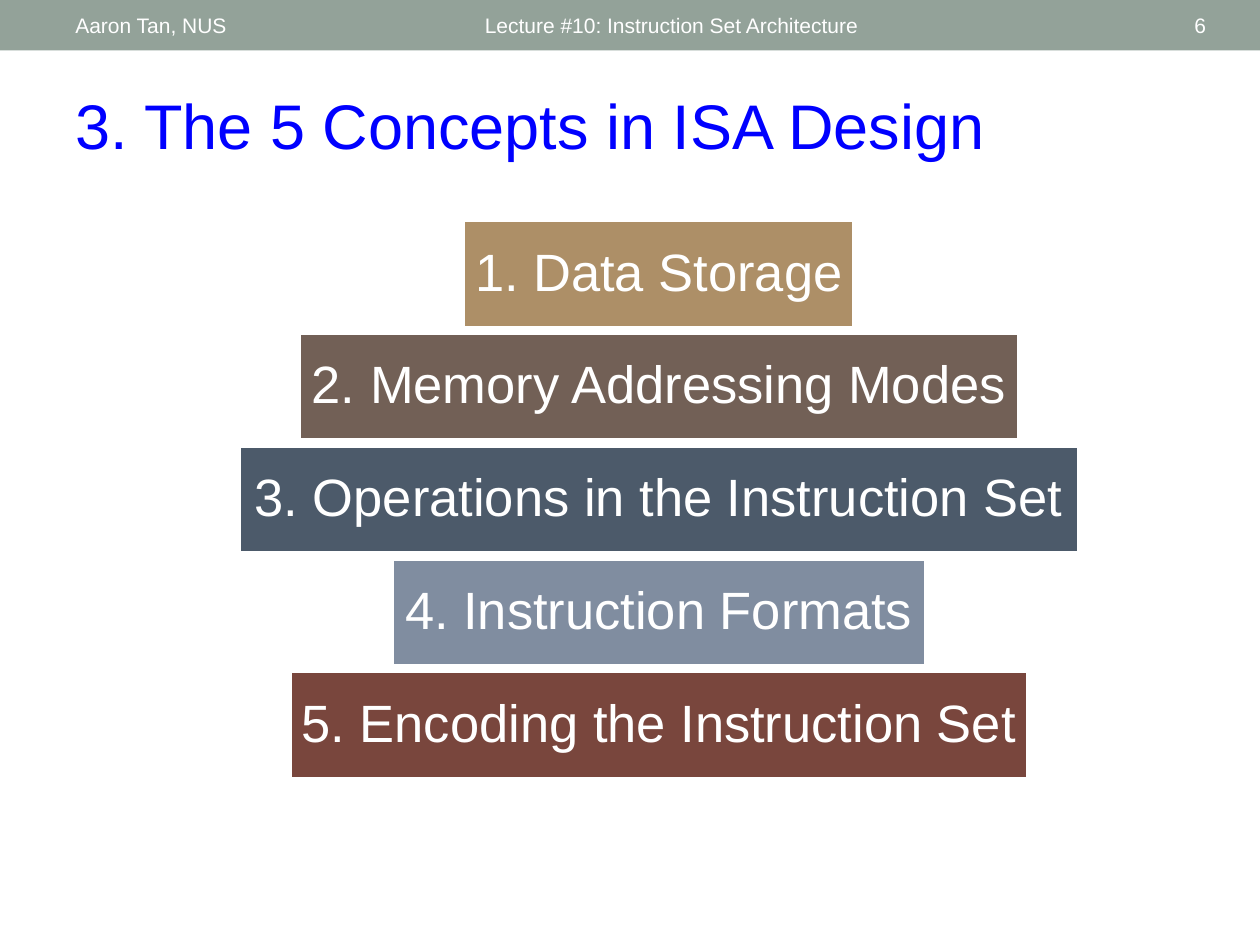
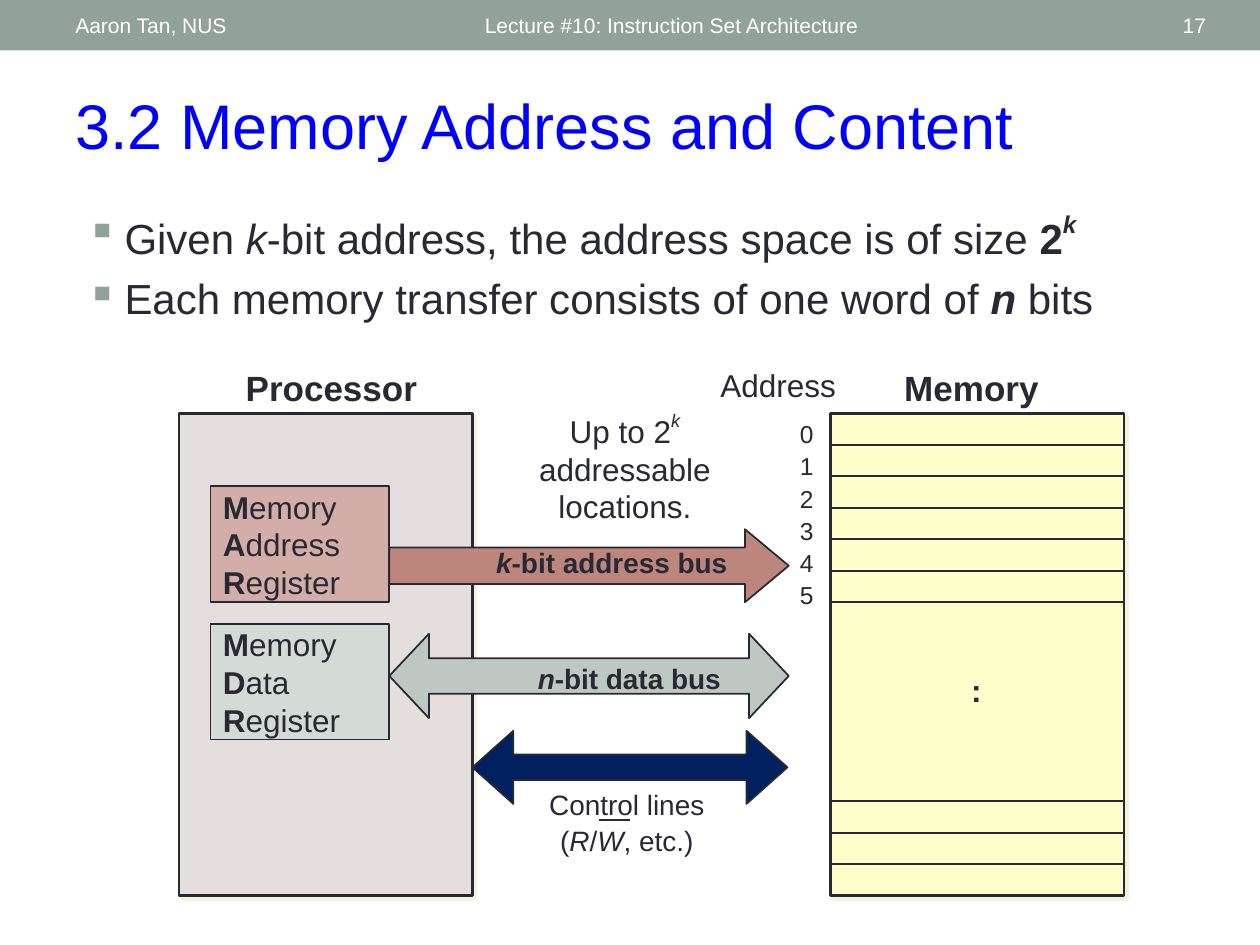
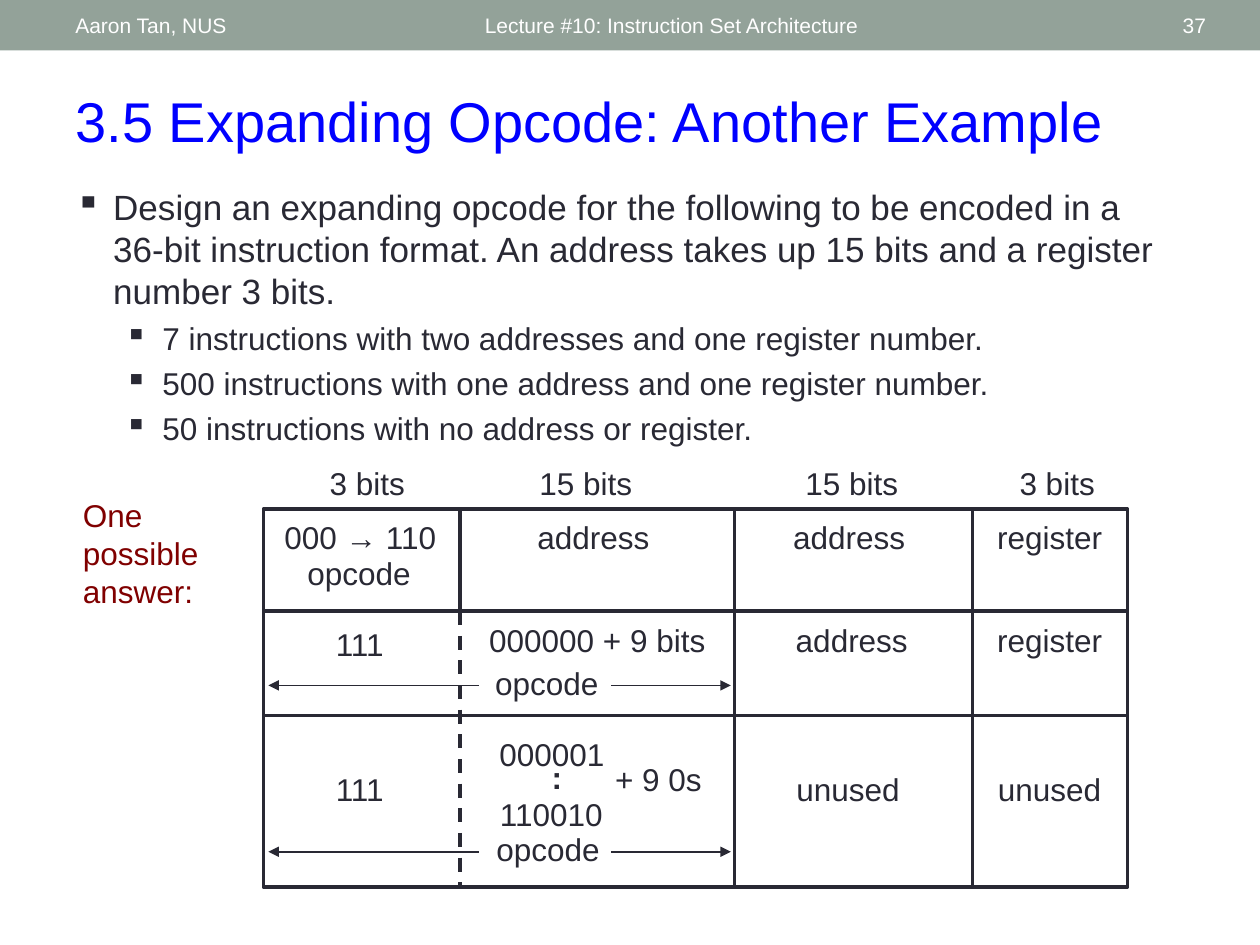
from lxml import etree
from pptx import Presentation
from pptx.dml.color import RGBColor
from pptx.enum import dml, shapes, text
from pptx.oxml import ns
from pptx.util import Inches, Pt

FONT = "Arial"
INK, WHITE, SAGE, BLUE, MAROON = "292934", "FFFFFF", "93A299", "0000FF", "800000"
LEFT, CENTER, RIGHT = text.PP_ALIGN.LEFT, text.PP_ALIGN.CENTER, text.PP_ALIGN.RIGHT
TOP, MIDDLE = text.MSO_ANCHOR.TOP, text.MSO_ANCHOR.MIDDLE
SHAPE = shapes.MSO_SHAPE

AUTHOR = "Aaron Tan, NUS"
LECTURE = "Lecture #10: Instruction Set Architecture"

# Runs are (text, style): b bold, i italic, ^ superscript.
CONCEPTS = [
    ("1. Data Storage", 3.1, "AD8F67"),
    ("2. Memory Addressing Modes", 5.71, "726056"),
    ("3. Operations in the Instruction Set", 6.67, "4C5A6A"),
    ("4. Instruction Formats", 4.23, "808DA0"),
    ("5. Encoding the Instruction Set", 5.85, "79463D"),
]

MEMORY_POINTS = [
    ([("Given ", ""), ("k", "i"), ("-bit address, the address space is of size ", ""),
      ("2", "b"), ("k", "bi^")], 24, 0),
    ([("Each memory transfer consists of one word of ", ""), ("n", "bi"), (" bits", "")], 24, 0),
]
REGISTERS = [
    (3.86, "D3AEA8", [("M", "b"), ("emory ", ""), ("A", "b"), ("ddress", ""),
                      (" R", "b"), ("egister", "")]),
    (4.95, "D4DAD6", [("M", "b"), ("emory ", ""), ("D", "b"), ("ata", ""),
                      (" R", "b"), ("egister", "")]),
]
BUSES = [
    (SHAPE.RIGHT_ARROW, (3.09, 4.2, 3.17, 0.58), "BD867C", (0.5, 0.6)),
    (SHAPE.LEFT_RIGHT_ARROW, (3.75, 5.8, 2.5, 0.58), "002060", (0.35, 0.56)),
    (SHAPE.LEFT_RIGHT_ARROW, (3.09, 5.03, 3.17, 0.67), "BEC7C2", (0.42, 0.47)),
]
DIAGRAM_LABELS = [
    ((5.59, 2.86, 1.17, 0.4), [[("Address", "")]], 18, CENTER),
    ((6.25, 3.28, 0.33, 1.56), [[(str(n), "")] for n in range(6)], 14, LEFT),
    ((1.84, 2.86, 1.58, 0.43), [[("Processor", "b")]], 20, CENTER),
    ((6.92, 2.86, 1.58, 0.43), [[("Memory", "b")]], 20, CENTER),
    ((7.5, 5.28, 0.5, 0.4), [[(":", "b")]], 18, CENTER),
    ((4.17, 5.2, 1.67, 0.37), [[("n", "bi"), ("-bit data bus", "b")]], 16, LEFT),
    ((3.84, 4.28, 2.17, 0.37), [[("k", "bi"), ("-bit address bus", "b")]], 16, LEFT),
    ((3.92, 3.2, 2.08, 1), [[("Up to 2", ""), ("k", "i^"),
                             (" addressable locations.", "")]], 18, CENTER),
    ((4.25, 6.2, 1.45, 0.65), [[("Control lines", "")],
                               [("(", ""), ("R", "i"), ("/", ""), ("W", "i"),
                                (", etc.)", "")]], 16, CENTER),
]

OPCODE_POINTS = [
    ([("Design an expanding opcode for the following to be encoded in a 36-bit instruction "
       "format. An address takes up 15 bits and a register number 3 bits.", "")], 20, 0),
    ([("7 instructions with two addresses and one register number.", "")], 18, 1),
    ([("500 instructions with one address and one register number.", "")], 18, 1),
    ([("50 instructions with no address or register.", "")], 18, 1),
]
# Each line of the format diagram: top, then (left, width, text).
FORMAT_TEXT = [
    (3.67, [(2.45, 0.93, "3 bits"), (4.11, 1.08, "15 bits"),
            (6.22, 1.08, "15 bits"), (7.85, 1.08, "3 bits")]),
    (4.1, [(2.19, 1.34, "000 → 110"), (4.04, 1.34, "address"),
           (6.07, 1.34, "address"), (7.82, 1.02, "register")]),
    (4.39, [(2.18, 1.34, "opcode")]),
    (4.92, [(3.78, 1.92, "000000 + 9 bits"), (6.22, 1.08, "address"), (7.87, 0.92, "register")]),
    (4.95, [(2.47, 0.77, "111")]),
    (5.26, [(3.84, 1, "opcode")]),
    (5.82, [(3.77, 1.22, "000001")]),
    (6.01, [(4.24, 0.36, ":")]),
    (6.02, [(4.8, 0.85, "+ 9 0s")]),
    (6.1, [(2.47, 0.77, "111"), (6.21, 1.04, "unused"), (7.78, 1.1, "unused")]),
    (6.3, [(3.77, 1.21, "110010")]),
    (6.58, [(3.85, 1, "opcode")]),
]


def rgb(color):
    return RGBColor.from_string(color)


def add_xml(parent, tag, **attributes):
    return etree.SubElement(parent, ns.qn(tag), attributes)


def fill_paragraph(paragraph, runs, size, color, align=LEFT):
    paragraph.alignment = align
    for words, style in runs:
        run = paragraph.add_run()
        run.text = words
        font = run.font
        font.name, font.size = FONT, Pt(size)
        font.bold, font.italic = "b" in style, "i" in style
        font.color.rgb = rgb(color)
        if "^" in style:
            run._r.get_or_add_rPr().set("baseline", "50000")


def paragraphs_of(frame, count):
    return [frame.paragraphs[0]] + [frame.add_paragraph() for _ in range(count - 1)]


def set_frame(frame, anchor, inset=None):
    frame.word_wrap = True
    frame.vertical_anchor = anchor
    if inset is not None:
        frame.margin_left = frame.margin_right = Inches(inset)
        frame.margin_top = frame.margin_bottom = Inches(inset)


def add_text(slide, box, lines, size, color=INK, align=LEFT, anchor=TOP, inset=None):
    frame = slide.shapes.add_textbox(*map(Inches, box)).text_frame
    set_frame(frame, anchor, inset)
    for index, paragraph in enumerate(paragraphs_of(frame, len(lines))):
        if index:
            paragraph.space_before = Pt(1.5)
        fill_paragraph(paragraph, lines[index], size, color, align)


def add_bullets(slide, box, points, bullet_color):
    frame = slide.shapes.add_textbox(*map(Inches, box)).text_frame
    set_frame(frame, TOP)
    for index, paragraph in enumerate(paragraphs_of(frame, len(points))):
        runs, size, level = points[index]
        paragraph.level = level
        properties = paragraph._p.get_or_add_pPr()
        properties.set("marL", str(Inches((0.3, 0.69)[level])))
        properties.set("indent", str(Inches(-0.3)))
        add_xml(add_xml(properties, "a:buClr"), "a:srgbClr", val=bullet_color)
        add_xml(properties, "a:buChar", char="▪")
        if index:
            paragraph.space_before = Pt(round(size * 0.24, 1))
        fill_paragraph(paragraph, runs, size, INK)


def add_block(slide, box, fill=None, line=INK, width=1, kind=SHAPE.RECTANGLE):
    shape = slide.shapes.add_shape(kind, *map(Inches, box))
    shape.shadow.inherit = False
    if fill:
        shape.fill.solid()
        shape.fill.fore_color.rgb = rgb(fill)
    else:
        shape.fill.background()
    if line:
        shape.line.color.rgb = rgb(line)
        shape.line.width = Pt(width)
    else:
        shape.line.fill.background()
    return shape


def add_drop_shadow(shape):
    effects = shape._element.spPr.find(ns.qn("a:effectLst"))
    shadow = add_xml(effects, "a:outerShdw", dist=str(Pt(2.8)), dir="2700000",
                     algn="ctr", rotWithShape="0")
    add_xml(shadow, "a:srgbClr", val="F3F2DC")


def add_line(slide, x1, y1, x2, y2, width=1, dashed=False, arrow=False):
    line = slide.shapes.add_connector(shapes.MSO_CONNECTOR.STRAIGHT,
                                      *map(Inches, (x1, y1, x2, y2)))
    line.line.color.rgb = rgb(INK)
    line.line.width = Pt(width)
    if dashed:
        line.line.dash_style = dml.MSO_LINE.DASH
    if arrow:
        add_xml(line.line._get_or_add_ln(), "a:tailEnd", type="triangle")
    add_xml(line._element.spPr, "a:effectLst")


def start_slide(presentation, title, number, title_size=36):
    """Add a blank slide with the top band, its three texts and the title."""
    slide = presentation.slides.add_slide(presentation.slide_layouts[6])
    add_block(slide, (0, 0, 10, 0.4), SAGE, None)
    for left, width, words, align in [(3.75, 4.5, LECTURE, LEFT), (0.5, 3.17, AUTHOR, LEFT),
                                      (8.72, 0.95, str(number), RIGHT)]:
        add_text(slide, (left, 0.02, width, 0.36), [[(words, "")]], 12, WHITE, align, MIDDLE)
    add_text(slide, (0.5, 0.64, 9.17, 0.71), [[(title, "")]], title_size, BLUE)
    return slide


def build_concepts(presentation):
    slide = start_slide(presentation, "3. The 5 Concepts in ISA Design", 6)
    middle, first_top, last_top = 5.23, 1.75, 5.33
    step = (last_top - first_top) / (len(CONCEPTS) - 1)
    for index, (name, width, color) in enumerate(CONCEPTS):
        box = (middle - width / 2, first_top + index * step, width, 0.85)
        bar = add_block(slide, box, color, WHITE, 2.08)
        set_frame(bar.text_frame, MIDDLE, 0.08)
        paragraph = bar.text_frame.paragraphs[0]
        paragraph.line_spacing = 0.9
        fill_paragraph(paragraph, [(name, "")], 30, WHITE, CENTER)


def build_memory(presentation):
    slide = start_slide(presentation, "3.2 Memory Address and Content", 17)
    add_bullets(slide, (0.59, 1.61, 9, 1.12), MEMORY_POINTS, SAGE)

    top, width, height, memory_left, cell = 3.28, 2.33, 3.83, 6.59, 0.25
    for left, color in [(1.42, "E4DFDC"), (memory_left, "FFFFCC")]:
        add_drop_shadow(add_block(slide, (left, top, width, height), color, width=1.5))
    cell_edges = [top + cell * n for n in range(1, 7)]
    cell_edges += [top + height - cell * n for n in range(3, 0, -1)]
    for y in cell_edges:
        add_line(slide, memory_left, y, memory_left + width, y)

    for register_top, color, runs in REGISTERS:
        register = add_block(slide, (1.67, register_top, 1.42, 0.92), color)
        set_frame(register.text_frame, MIDDLE)
        fill_paragraph(register.text_frame.paragraphs[0], runs, 18, INK)
    for kind, box, color, adjustments in BUSES:
        bus = add_block(slide, box, color, kind=kind)
        for index, value in enumerate(adjustments):
            bus.adjustments[index] = value
    for box, lines, size, align in DIAGRAM_LABELS:
        add_text(slide, box, lines, size, align=align)
    add_line(slide, 4.75, 6.51, 5, 6.51)


def build_opcode(presentation):
    slide = start_slide(presentation, "3.5 Expanding Opcode: Another Example", 37, 32)
    add_bullets(slide, (0.5, 1.42, 8.79, 2.25), OPCODE_POINTS, INK)
    for top, cells in FORMAT_TEXT:
        for left, width, words in cells:
            style = "b" if words == ":" else ""
            add_text(slide, (left, top, width, 0.32), [[(words, style)]], 18,
                     align=CENTER, inset=0.01)

    left, top, right, bottom = 2.09, 4.04, 8.95, 7.04
    first_row, second_row, opcode_edge = 4.85, 5.68, 3.65
    add_block(slide, (left, top, right - left, bottom - top), width=2)
    for y in (first_row, second_row):
        add_line(slide, left, y, right, y, 2)
    for x in (5.83, 7.72):
        add_line(slide, x, top, x, bottom, 2)
    add_line(slide, opcode_edge, top, opcode_edge, first_row, 2)
    add_line(slide, opcode_edge, first_row, opcode_edge, bottom, 2, dashed=True)
    for y in (5.44, 6.76):
        for start, end in [(3.8, 2.13), (4.85, 5.8)]:
            add_line(slide, start, y, end, y, arrow=True)
    add_text(slide, (0.56, 3.89, 1.58, 1), [[("One possible answer:", "")]], 18, MAROON)


def main():
    presentation = Presentation()
    presentation.slide_width, presentation.slide_height = Inches(10), Inches(7.5)
    build_concepts(presentation)
    build_memory(presentation)
    build_opcode(presentation)
    presentation.save("out.pptx")


if __name__ == "__main__":
    main()
